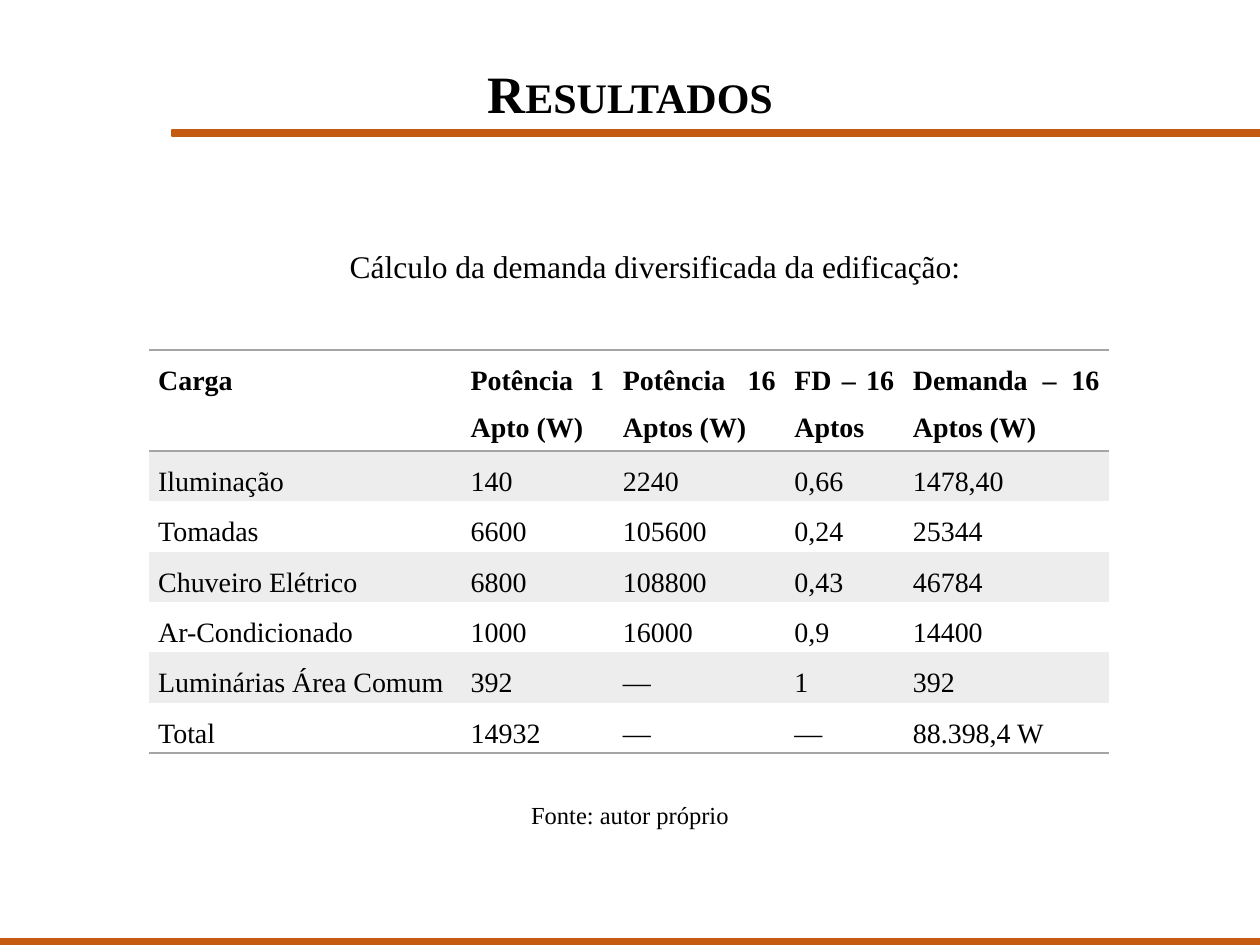
"""Build the results slide with the demand table of the building."""
from lxml.etree import SubElement
from pptx import Presentation
from pptx.dml.color import RGBColor
from pptx.enum.shapes import MSO_SHAPE
from pptx.enum.text import MSO_ANCHOR, MSO_AUTO_SIZE, PP_ALIGN
from pptx.oxml.ns import qn
from pptx.util import Pt

HEX = {"text": "000000", "bar": "C55A11", "rule": "A5A5A5", "band": "EDEDED"}
RGB = {name: RGBColor.from_string(code) for name, code in HEX.items()}


def style(para, size, align=PP_ALIGN.CENTER, bold=False):
    """Set the font and alignment of a paragraph."""
    para.alignment = align
    font = para.font
    font.name, font.size, font.bold = "Times New Roman", Pt(size), bold
    font.color.rgb = RGB["text"]


def border(cell, side):
    """Draw a thin rule on one side of a cell."""
    line = SubElement(cell._tc.get_or_add_tcPr(), qn(f"a:{side}"), w=str(Pt(1)))
    fill = SubElement(line, qn("a:solidFill"))
    SubElement(fill, qn("a:srgbClr"), val=HEX["rule"])


deck = Presentation()
deck.slide_width, deck.slide_height = Pt(720), Pt(540)
slide = deck.slides.add_slide(deck.slide_layouts[5])
shapes = slide.shapes

title = shapes.title
title.left, title.top, title.width, title.height = Pt(270.6), Pt(31), Pt(179), Pt(44)
frame = title.text_frame
frame.text = "Resultados"
frame.word_wrap = False
frame.auto_size = MSO_AUTO_SIZE.NONE
frame.vertical_anchor = MSO_ANCHOR.TOP
head = frame.paragraphs[0]
style(head, 30, bold=True)
head.font._element.set("cap", "small")

for left, top in [(0, 536.4), (98.4, 74.2)]:
    bar = shapes.add_shape(MSO_SHAPE.RECTANGLE, Pt(left), Pt(top), Pt(720 - left), Pt(3.6))
    bar.shadow.inherit = False
    bar.fill.solid()
    bar.fill.fore_color.rgb = bar.line.color.rgb = RGB["bar"]
    bar.line.width = Pt(1)

notes = [
    ("Cálculo da demanda diversificada da edificação:", 18, 85, 137.5, 579, 29),
    ("Fonte: autor próprio", 14, 72.7, 453.6, 574.6, 24.5),
]
for text, size, left, top, width, height in notes:
    box = shapes.add_textbox(Pt(left), Pt(top), Pt(width), Pt(height))
    box.text_frame.word_wrap = True
    box.text_frame.text = text
    style(box.text_frame.paragraphs[0], size)

rows = [
    ("Carga", "Potência 1 Apto (W)", "Potência 16 Aptos (W)", "FD – 16 Aptos", "Demanda – 16 Aptos (W)"),
    ("Iluminação", "140", "2240", "0,66", "1478,40"),
    ("Tomadas", "6600", "105600", "0,24", "25344"),
    ("Chuveiro Elétrico", "6800", "108800", "0,43", "46784"),
    ("Ar-Condicionado", "1000", "16000", "0,9", "14400"),
    ("Luminárias Área Comum", "392", "—", "1", "392"),
    ("Total", "14932", "—", "—", "88.398,4 W"),
]
widths = [178.6, 87, 98, 67.7, 117.3]
heights = [57.6] + [28.8] * 6
last = len(rows) - 1
table = shapes.add_table(
    len(rows), len(widths), Pt(85), Pt(200), Pt(sum(widths)), Pt(sum(heights))
).table
table.first_row = table.horz_banding = False
look = table._tbl.tblPr.find(qn("a:tableStyleId"))
look.text = "{2D5ABB26-0587-4C30-8999-92F81FD0307C}"
for col, width in zip(table.columns, widths):
    col.width = Pt(width)
for r, (row, height) in enumerate(zip(rows, heights)):
    table.rows[r].height = Pt(height)
    for c, text in enumerate(row):
        cell = table.cell(r, c)
        cell.margin_left = cell.margin_right = Pt(5.4)
        cell.margin_top = cell.margin_bottom = 0
        cell.text = text
        para = cell.text_frame.paragraphs[0]
        para.line_spacing, para.space_after = 1.5, Pt(6)
        style(para, 16, PP_ALIGN.JUSTIFY, bold=r == 0)
        if r == 0:
            border(cell, "lnT")
        if r in (0, last):
            border(cell, "lnB")
        if r % 2:
            cell.fill.solid()
            cell.fill.fore_color.rgb = RGB["band"]
        else:
            cell.fill.background()

deck.save("out.pptx")
